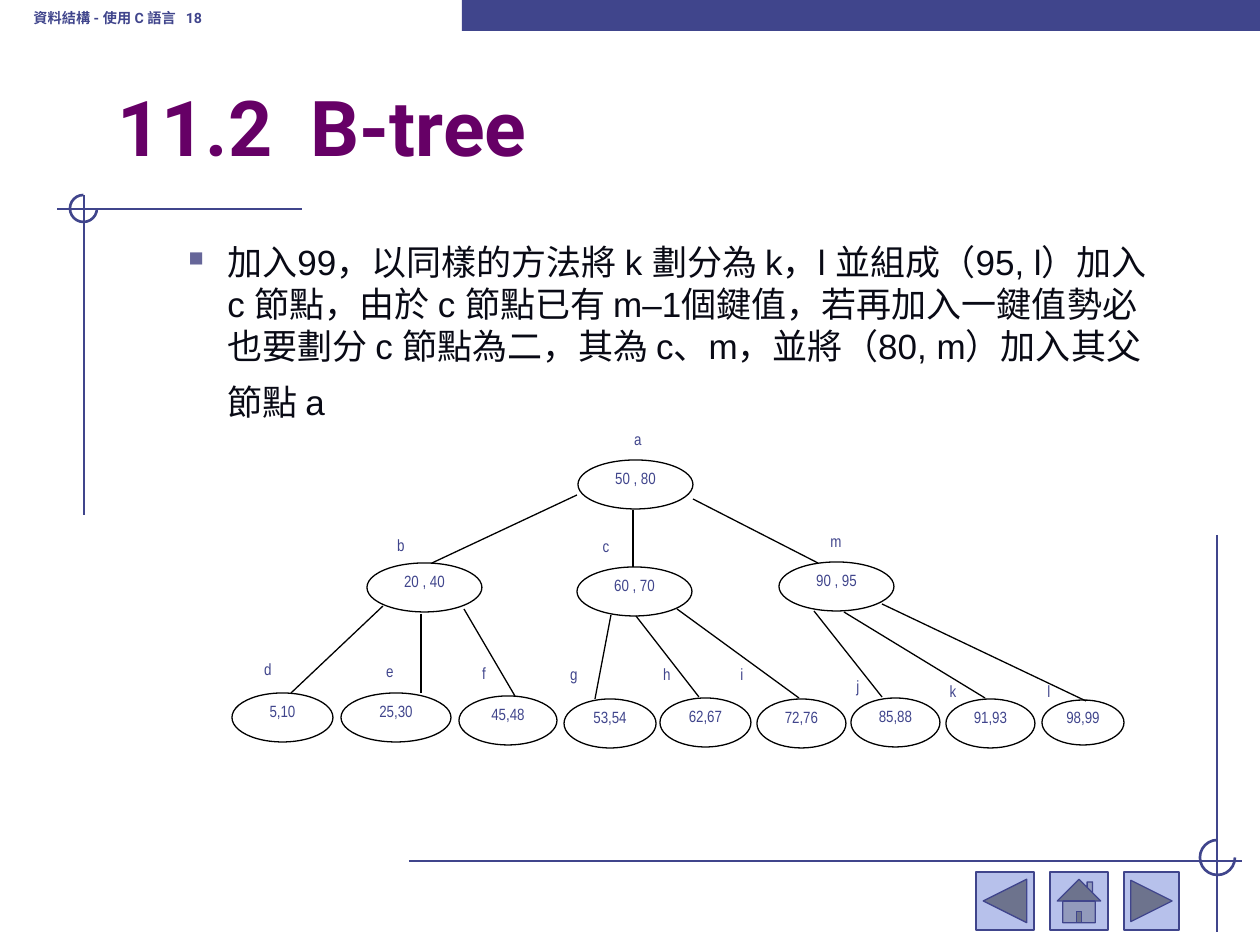
from dataclasses import dataclass

from lxml.etree import SubElement
from pptx import Presentation
from pptx.dml.color import RGBColor as RGB
from pptx.enum.shapes import MSO_CONNECTOR as CONNECTOR, MSO_SHAPE as SHAPE
from pptx.enum.text import MSO_ANCHOR as ANCHOR, MSO_AUTO_SIZE as AUTO, PP_ALIGN as ALIGN
from pptx.oxml.ns import qn
from pptx.util import Emu, Pt


@dataclass(frozen=True)
class Theme:
    indigo: RGB = RGB(0x40, 0x45, 0x8C)
    purple: RGB = RGB(0x66, 0x00, 0x66)
    ink: RGB = RGB(0x09, 0x0A, 0x15)
    black: RGB = RGB(0, 0, 0)
    button: RGB = RGB(0xB7, 0xC1, 0xEB)
    bullet: str = "666699"
    heading_font: str = "Roboto"
    body_font: str = "Arial"
    node_font: str = "Arial Narrow"
    title_size: int = 44
    body_size: int = 20
    tail_size: int = 28
    node_size: int = 16
    header_size: int = 14
    rule: float = 1.5
    thin: float = 0.75


THEME = Theme()
NODE_HEIGHT = 49
LETTER_WIDTH = 52
RULES = [(302, 209, 57, 209), (84, 195, 84, 515),
         (409, 861, 1242, 861), (1217, 535, 1217, 932)]
CORNER_ARCS = [(70, 195, 27), (1200, 840, 35)]
BUTTONS = [(SHAPE.ACTION_BUTTON_HOME, 1050, 58),
           (SHAPE.ACTION_BUTTON_FORWARD_OR_NEXT, 1124, 55),
           (SHAPE.ACTION_BUTTON_BACK_OR_PREVIOUS, 976, 58)]
BODY = ("加入99，以同樣的方法將 k 劃分為 k，l 並組成（95, l）加入 c 節點，由於 c 節點已有 m–1個鍵值，"
        "若再加入一鍵值勢必也要劃分 c 節點為二，其為 c、m，並將（80, m）加入其父節點 a")
NODES = [
    ("a", "50 , 80", 578, 460, 115, 612, 421),
    ("b", "20 , 40", 367, 563, 115, 375, 527),
    ("c", "60 , 70", 577, 567, 115, 580, 528),
    ("m", "90 , 95", 779, 562, 115, 810, 523),
    ("d", "5,10", 232, 693, 101, 242, 651),
    ("e", "25,30", 341, 693, 110, 364, 653),
    ("f", "45,48", 459, 696, 98, 458, 655),
    ("g", "53,54", 564, 699, 92, 548, 656),
    ("h", "62,67", 660, 698, 91, 641, 656),
    ("i", "72,76", 757, 699, 89, 716, 656),
    ("j", "85,88", 851, 698, 89, 832, 668),
    ("k", "91,93", 946, 699, 89, 927, 673),
    ("l", "98,99", 1042, 700, 82, 1023, 673),
]
BRANCHES = [
    (577, 495, 432, 563), (633, 510, 633, 567), (693, 499, 818, 563),
    (383, 606, 291, 693), (421, 614, 421, 693), (464, 609, 515, 696),
    (611, 615, 595, 699), (636, 616, 699, 697), (677, 609, 799, 698),
    (814, 611, 882, 697), (844, 612, 985, 698), (882, 604, 1086, 701),
]


def px(length):
    """Turn whole pixels into EMU at 126 pixels to the inch."""
    return Emu(round(length * 914400 / 126))


def add_run(paragraph, text, font, size, color, bold=False, raised=False):
    """Add one formatted run, raised as superscript on request."""
    run = paragraph.add_run()
    run.text = text
    run.font.name, run.font.size, run.font.bold = font, Pt(size), bold
    run.font.color.rgb = color
    if raised:
        run.font._element.set("baseline", "30000")


def add_rule(slide, ends, color, width):
    """Draw a straight line without a shadow."""
    rule = slide.shapes.add_connector(CONNECTOR.STRAIGHT, *map(px, ends))
    rule.line.color.rgb, rule.line.width = color, Pt(width)
    SubElement(rule._element.spPr, qn("a:effectLst"))


def add_preset(slide, preset, box, fill=None, line=None, width=THEME.thin):
    """Draw a preset shape with the given fill and outline, or none."""
    preset_shape = slide.shapes.add_shape(preset, *map(px, box))
    preset_shape.shadow.inherit = False
    if fill is None:
        preset_shape.fill.background()
    else:
        preset_shape.fill.solid()
        preset_shape.fill.fore_color.rgb = fill
    if line is None:
        preset_shape.line.fill.background()
    else:
        preset_shape.line.color.rgb, preset_shape.line.width = line, Pt(width)
    return preset_shape


def add_oval_text(slide, text, box, line=None):
    """Draw an oval with small raised text, outlined for a node."""
    oval = add_preset(slide, SHAPE.OVAL, box, line=line)
    frame = oval.text_frame
    frame.margin_left = frame.margin_right = frame.margin_top = frame.margin_bottom = 0
    frame.vertical_anchor = ANCHOR.TOP
    paragraph = frame.paragraphs[0]
    paragraph.alignment, paragraph.line_spacing = ALIGN.CENTER, 0.96
    add_run(paragraph, text, THEME.node_font, THEME.node_size, THEME.indigo, raised=True)


def add_decoration(slide):
    """Draw the frame rules, corner arcs, top band and navigation buttons."""
    for ends in RULES:
        add_rule(slide, ends, THEME.indigo, THEME.rule)
    for left, top, size in CORNER_ARCS:
        arc = add_preset(slide, SHAPE.ARC, (left, top, size, size),
                         line=THEME.indigo, width=THEME.rule)
        arc.adjustments[0], arc.adjustments[1] = 0, 162
    add_preset(slide, SHAPE.RECTANGLE, (462, 0, 798, 31), THEME.indigo)
    for preset, left, width in BUTTONS:
        add_preset(slide, preset, (left, 872, width, 58), THEME.button, THEME.indigo)


def add_text_box(slide, box, anchor):
    """Add a wrapping text box and return its first paragraph."""
    frame = slide.shapes.add_textbox(*map(px, box)).text_frame
    frame.word_wrap, frame.vertical_anchor = True, anchor
    return frame.paragraphs[0]


def add_title(slide):
    """Place and format the title placeholder."""
    title = slide.shapes.title
    title.left, title.top, title.width, title.height = map(px, (105, 73, 1071, 105))
    frame = title.text_frame
    frame.auto_size, frame.vertical_anchor = AUTO.NONE, ANCHOR.BOTTOM
    paragraph = frame.paragraphs[0]
    paragraph.alignment = ALIGN.LEFT
    add_run(paragraph, "11.2  B-tree", THEME.heading_font, THEME.title_size, THEME.purple, bold=True)


def add_body(slide):
    """Add the bulleted explanation."""
    paragraph = add_text_box(slide, (113, 234, 1060, 513), ANCHOR.TOP)
    properties = paragraph._p.get_or_add_pPr()
    properties.set("marL", str(px(102)))
    properties.set("indent", str(px(-39)))
    SubElement(SubElement(properties, qn("a:buClr")), qn("a:srgbClr"), val=THEME.bullet)
    SubElement(properties, qn("a:buSzPct"), val="60000")
    SubElement(properties, qn("a:buChar"), char="■")
    add_run(paragraph, BODY, THEME.body_font, THEME.body_size, THEME.ink)
    add_run(paragraph, " ", THEME.body_font, THEME.tail_size, THEME.ink)


def add_tree(slide):
    """Draw the branches, nodes and node letters of the B-tree."""
    for ends in BRANCHES:
        add_rule(slide, ends, THEME.black, THEME.thin)
    for letter, keys, left, top, width, letter_left, letter_top in NODES:
        height = 45 if letter == "l" else NODE_HEIGHT
        add_oval_text(slide, keys, (left, top, width, height), THEME.black)
        add_oval_text(slide, letter, (letter_left, letter_top, LETTER_WIDTH, NODE_HEIGHT))


def main():
    """Build the slide and save it."""
    deck = Presentation()
    deck.slide_width, deck.slide_height = px(1260), px(945)
    slide = deck.slides.add_slide(deck.slide_layouts[5])
    add_decoration(slide)
    header = add_text_box(slide, (21, -21, 388, 63), ANCHOR.BOTTOM)
    add_run(header, "資料結構 - 使用 C 語言   18", THEME.heading_font, THEME.header_size,
            THEME.indigo, bold=True, raised=True)
    add_title(slide)
    add_body(slide)
    add_tree(slide)
    deck.save("out.pptx")


if __name__ == "__main__":
    main()
